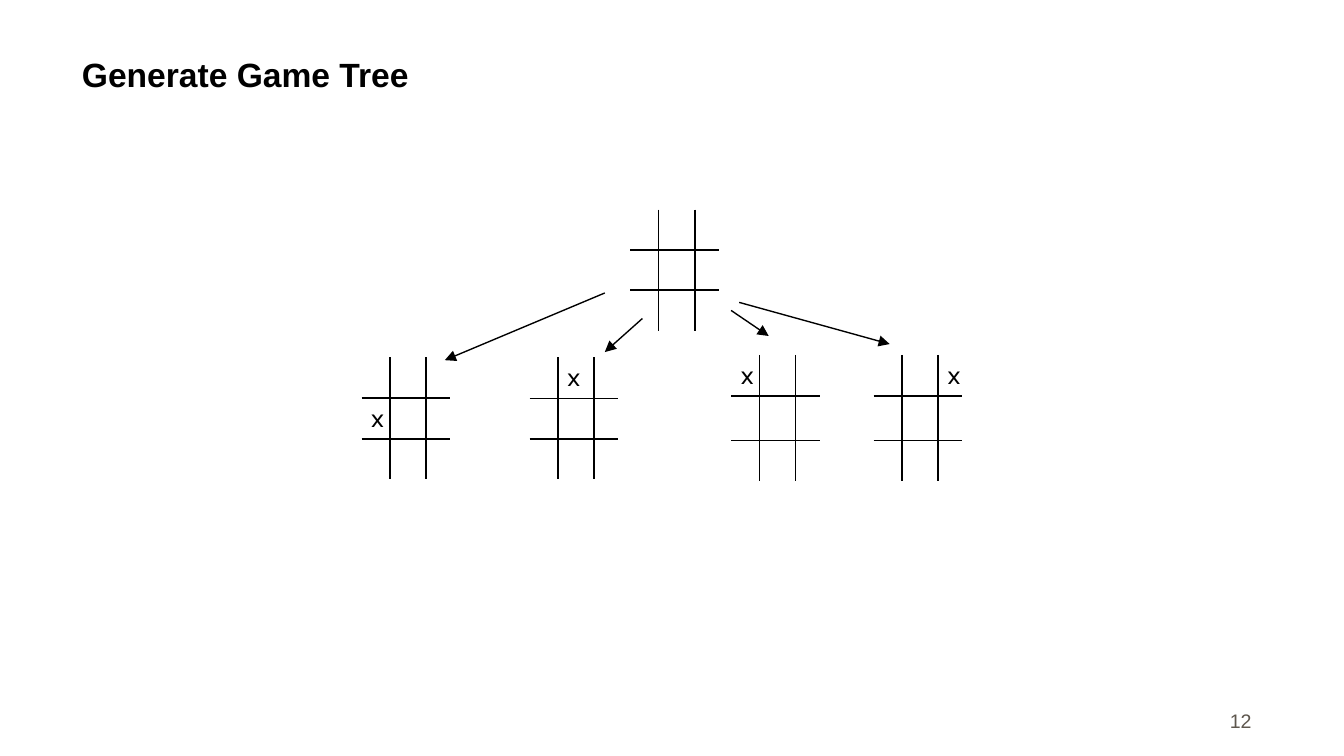
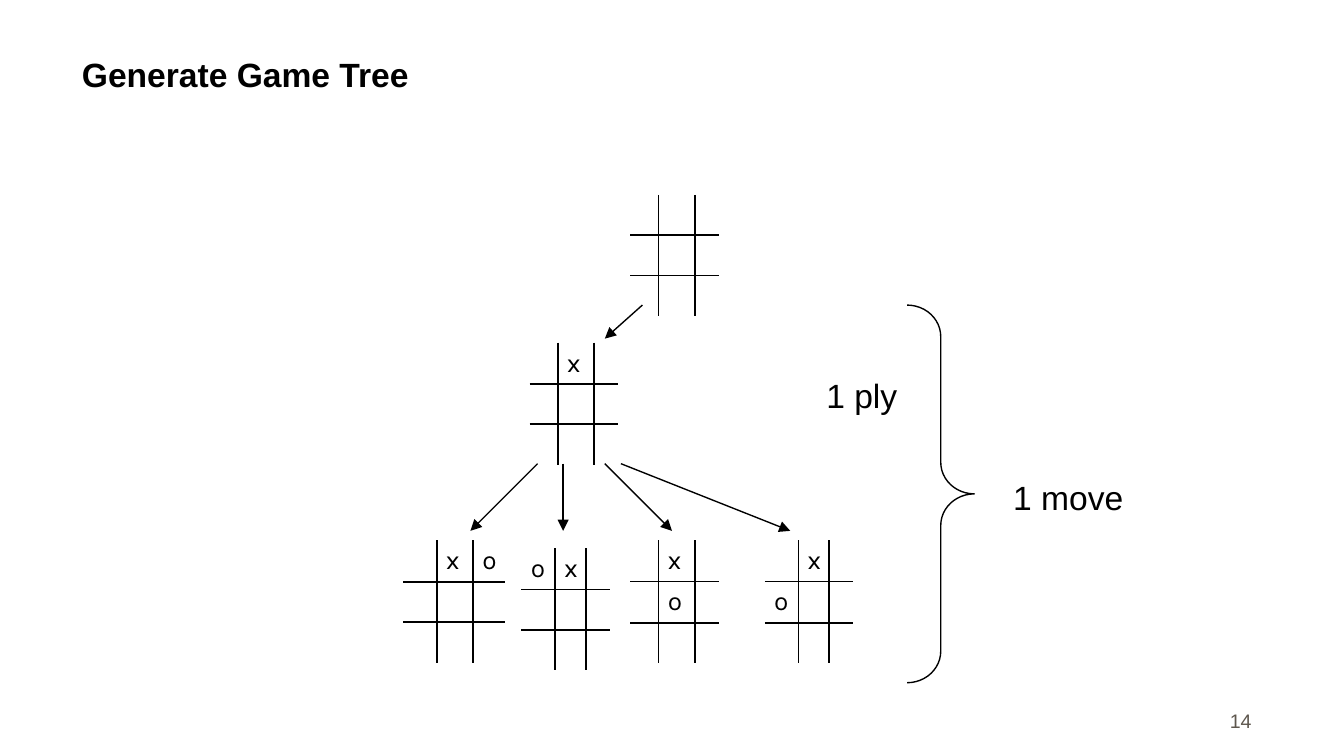
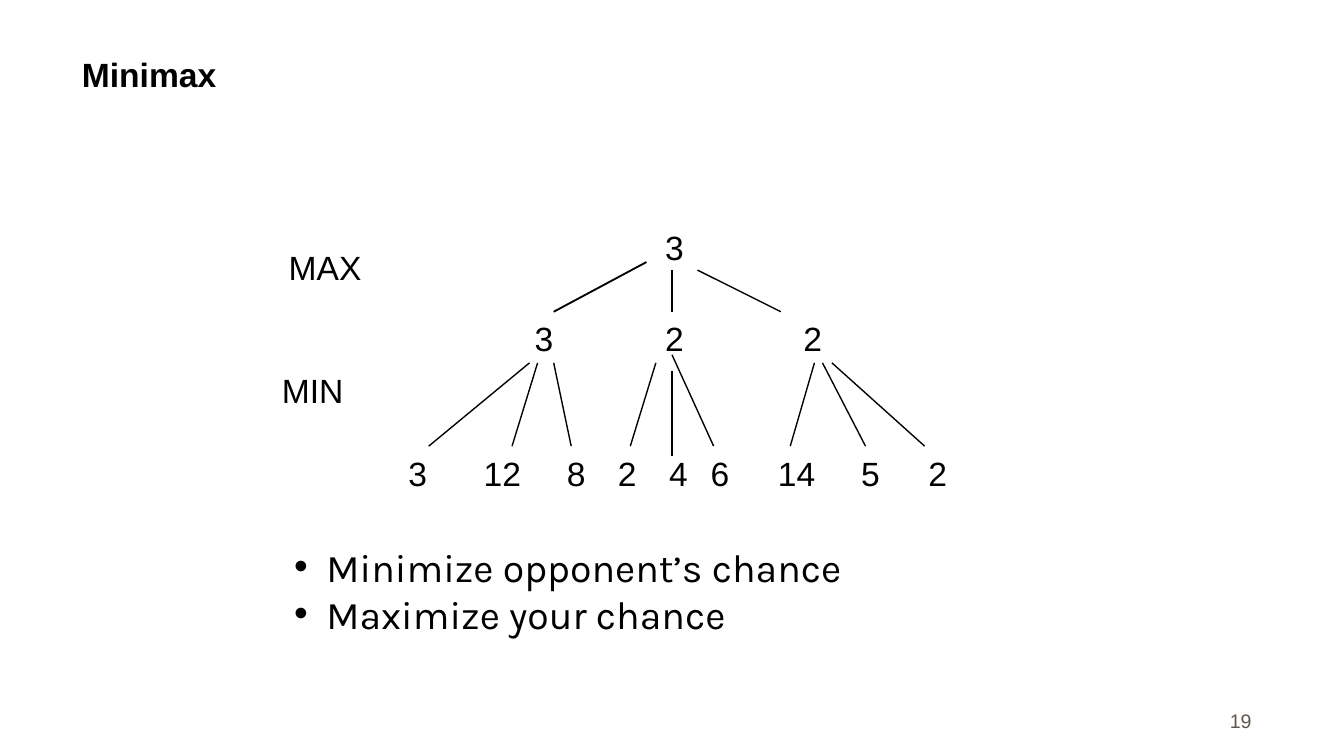
from dataclasses import dataclass, field
from typing import NamedTuple

import lxml.etree
import pptx
import pptx.dml.color
import pptx.enum.shapes
import pptx.enum.text
import pptx.oxml.ns
import pptx.util

PX = 9144
qn = pptx.oxml.ns.qn
ANCHOR = pptx.enum.text.MSO_ANCHOR
ALIGN = pptx.enum.text.PP_ALIGN
AUTO = pptx.enum.text.MSO_AUTO_SIZE


@dataclass(frozen=True)
class Theme:
    ink: str = "000000"
    muted: str = "5E574E"
    sans: str = "Arial"
    body: str = "Karla"
    title_size: float = 18
    label_size: float = 18
    mark_size: float = 14
    empty_size: float = 10
    bullet_size: float = 21
    number_size: float = 10.5
    line: float = 0.75
    grid_line: float = 1


THEME = Theme()


class Box(NamedTuple):
    x: int
    y: int
    w: int
    h: int


class Edge(NamedTuple):
    x1: int
    y1: int
    x2: int
    y2: int
    width: float = THEME.line


class Label(NamedTuple):
    text: str
    x: int
    y: int
    w: int


@dataclass(frozen=True)
class Board:
    x: int
    y: int
    marks: dict[tuple[int, int], str] = field(default_factory=dict)
    cols: tuple[int, ...] = (21, 27, 18)
    rows: tuple[int, ...] = (30, 30, 30)


TITLE = Box(51, 19, 892, 56)
NUMBER = Box(733, 512, 208, 38)
BRACE = Box(675, 227, 50, 281)
ADVICE = Box(209, 399, 439, 81)
LABEL_H = 40
BULLET_INDENT = 24
TALL_MIDDLE = (30, 33, 30)
WIDE_LEFT = (25, 23, 18)

FIRST_BOARDS = [
    Board(469, 156),
    Board(394, 266, {(0, 1): "x"}),
    Board(544, 264, {(0, 0): "x"}, rows=TALL_MIDDLE),
    Board(650, 264, {(0, 2): "x"}, rows=TALL_MIDDLE),
    Board(269, 266, {(1, 0): "x"}),
]
FIRST_MOVES = [
    Edge(450, 218, 331, 268),
    Edge(478, 237, 450, 262),
    Edge(544, 231, 572, 250),
    Edge(550, 225, 662, 256),
]

REPLY_BOARDS = [
    Board(469, 145),
    Board(394, 255, {(0, 1): "x"}),
    Board(388, 408, {(0, 0): "o", (0, 1): "x"}, cols=WIDE_LEFT),
    Board(469, 402, {(0, 1): "x", (1, 1): "o"}),
    Board(569, 402, {(0, 1): "x", (1, 0): "o"}, cols=WIDE_LEFT),
    Board(300, 402, {(0, 1): "x", (0, 2): "o"}, cols=(25, 27, 24),
          rows=(31, 30, 30)),
]
REPLY_MOVES = [Edge(478, 227, 450, 252)] + [
    Edge(x1, 345, x2, 395)
    for x1, x2 in [(400, 350), (419, 419), (450, 500), (462, 588)]
]
REPLY_LABELS = [Label("1 ply", 605, 274, 73), Label("1 move", 744, 350, 103)]

NODES = {
    164: [(485, "3")],
    232: [(388, "3"), (485, "2"), (588, "2")],
    332: [(294, "3"), (350, "12"), (412, "8"), (450, "2"), (488, "4"),
          (519, "6"), (569, "14"), (631, "5"), (681, "2")],
}
PLAYERS = [Label("MAX", 205, 179, 75), Label("MIN", 200, 270, 66)]
BRANCHES = [
    Edge(481, 195, 412, 232, THEME.grid_line),
    Edge(500, 201, 500, 232),
    Edge(519, 201, 581, 232),
    Edge(500, 264, 531, 332),
    Edge(500, 276, 500, 339),
] + [
    Edge(x1, 270, x2, 332)
    for x1, x2 in [(394, 319), (400, 381), (412, 425), (488, 469),
                   (606, 588), (612, 644), (619, 688)]
]


def rgb(color: str) -> pptx.dml.color.RGBColor:
    return pptx.dml.color.RGBColor.from_string(color)


def emu(box: Box) -> list[int]:
    return [v * PX for v in box]


def write(tf, text: str, *, size: float = THEME.label_size,
          font: str = THEME.sans, color: str = THEME.ink, bold: bool = False,
          align=ALIGN.LEFT, anchor=ANCHOR.TOP, bullet: str = "") -> None:
    tf.vertical_anchor = anchor
    for i, line in enumerate(text.split("\n")):
        p = tf.paragraphs[0] if i == 0 else tf.add_paragraph()
        p.alignment = align
        if bullet:
            ppr = p._p.get_or_add_pPr()
            ppr.set("marL", str(BULLET_INDENT * PX))
            ppr.set("indent", str(-BULLET_INDENT * PX))
            lxml.etree.SubElement(ppr, qn("a:buFont"), typeface=THEME.sans)
            lxml.etree.SubElement(ppr, qn("a:buChar"), char=bullet)
        r = p.add_run()
        r.text = line
        r.font.size = pptx.util.Pt(size)
        r.font.name = font
        r.font.bold = bold
        r.font.color.rgb = rgb(color)


def add_text(s, box: Box, text: str, *, wrap: bool = True,
             grow: bool = False, **fmt) -> None:
    tf = s.shapes.add_textbox(*emu(box)).text_frame
    tf.word_wrap = wrap
    tf.auto_size = AUTO.SHAPE_TO_FIT_TEXT if grow else AUTO.NONE
    write(tf, text, **fmt)


def add_label(s, label: Label) -> None:
    add_text(s, Box(label.x, label.y, label.w, LABEL_H), label.text,
             wrap=False, grow=True)


def add_edge(s, edge: Edge, arrow: bool = False) -> None:
    ends = [v * PX for v in edge[:4]]
    c = s.shapes.add_connector(
        pptx.enum.shapes.MSO_CONNECTOR.STRAIGHT, *ends)
    c.line.color.rgb = rgb(THEME.ink)
    c.line.width = pptx.util.Pt(edge.width)
    if arrow:
        lxml.etree.SubElement(
            c.line._get_or_add_ln(), qn("a:tailEnd"), type="triangle")
    lxml.etree.SubElement(c._element.spPr, qn("a:effectLst"))


def set_borders(cell, sides: dict[str, bool]) -> None:
    tcpr = cell._tc.get_or_add_tcPr()
    for side, shown in sides.items():
        ln = lxml.etree.SubElement(
            tcpr, qn(f"a:ln{side}"), w=str(pptx.util.Pt(THEME.grid_line)))
        if shown:
            fill = lxml.etree.SubElement(ln, qn("a:solidFill"))
            lxml.etree.SubElement(fill, qn("a:srgbClr"), val=THEME.ink)
        else:
            lxml.etree.SubElement(ln, qn("a:noFill"))


def add_board(s, board: Board) -> None:
    n, m = len(board.rows), len(board.cols)
    box = Box(board.x, board.y, sum(board.cols), sum(board.rows))
    table = s.shapes.add_table(n, m, *emu(box)).table
    table.first_row = table.horz_banding = False
    for col, w in zip(table.columns, board.cols):
        col.width = w * PX
    for row, h in zip(table.rows, board.rows):
        row.height = h * PX
    for i in range(n):
        for j in range(m):
            cell = table.cell(i, j)
            cell.margin_left = cell.margin_right = 7 * PX
            cell.margin_top = cell.margin_bottom = 4 * PX
            set_borders(cell, {"L": j > 0, "R": j < m - 1,
                               "T": i > 0, "B": i < n - 1})
            cell.fill.background()
            mark = board.marks.get((i, j))
            if mark:
                write(cell.text_frame, mark, size=THEME.mark_size,
                      font=THEME.body)
            else:
                lxml.etree.SubElement(
                    cell.text_frame.paragraphs[0]._p, qn("a:endParaRPr"),
                    sz=str(int(THEME.empty_size * 100)))


def add_brace(s, box: Box) -> None:
    sp = s.shapes.add_shape(
        pptx.enum.shapes.MSO_SHAPE.RIGHT_BRACE, *emu(box))
    sp.adjustments[0] = 0.47
    sp.adjustments[1] = 0.5
    sp.shadow.inherit = False
    sp.fill.background()
    sp.line.color.rgb = rgb(THEME.ink)
    sp.line.width = pptx.util.Pt(THEME.line)


def new_slide(prs, title: str, number: int):
    s = prs.slides.add_slide(prs.slide_layouts.get_by_name("Title Only"))
    sp = s.shapes.title
    sp.left, sp.top, sp.width, sp.height = emu(TITLE)
    sp.text_frame.auto_size = AUTO.NONE
    write(sp.text_frame, title, size=THEME.title_size, bold=True,
          anchor=ANCHOR.BOTTOM)
    add_text(s, NUMBER, str(number), size=THEME.number_size,
             color=THEME.muted, align=ALIGN.RIGHT, anchor=ANCHOR.BOTTOM)
    return s


def game_tree(prs, number: int, boards: list[Board], moves: list[Edge]):
    s = new_slide(prs, "Generate Game Tree", number)
    for board in boards:
        add_board(s, board)
    for move in moves:
        add_edge(s, move, arrow=True)
    return s


def minimax(prs, number: int) -> None:
    s = new_slide(prs, "Minimax", number)
    for y, nodes in NODES.items():
        for x, value in nodes:
            add_label(s, Label(value, x, y, 20 + 14 * len(value)))
    for branch in BRANCHES:
        add_edge(s, branch)
    for player in PLAYERS:
        add_label(s, player)
    add_text(s, ADVICE, "Minimize opponent’s chance\nMaximize your chance",
             grow=True, size=THEME.bullet_size, font=THEME.body, bullet="•")


def main() -> None:
    prs = pptx.Presentation()
    prs.slide_width = 1000 * PX
    prs.slide_height = prs.slide_width * 9 // 16
    game_tree(prs, 12, FIRST_BOARDS, FIRST_MOVES)
    s = game_tree(prs, 14, REPLY_BOARDS, REPLY_MOVES)
    add_brace(s, BRACE)
    for label in REPLY_LABELS:
        add_label(s, label)
    minimax(prs, 19)
    prs.save("out.pptx")


if __name__ == "__main__":
    main()
